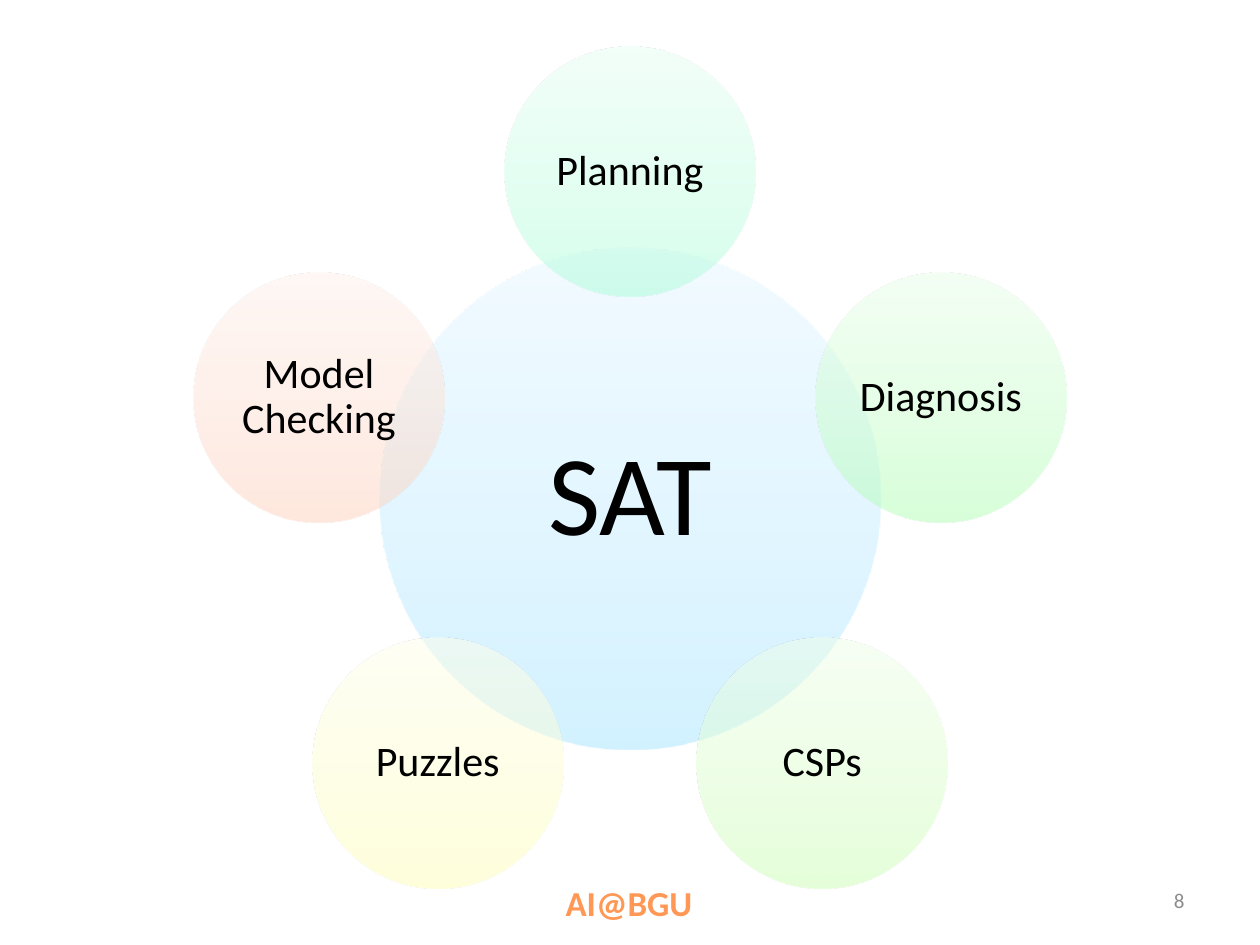
from dataclasses import dataclass
from math import cos, radians, sin

from lxml.etree import SubElement
from pptx import Presentation
from pptx.dml.color import RGBColor
from pptx.enum.shapes import MSO_SHAPE
from pptx.enum.text import MSO_ANCHOR, PP_ALIGN
from pptx.oxml.ns import qn
from pptx.util import Inches, Pt


@dataclass(frozen=True)
class Theme:
    """Colours, type sizes and font of the slide."""
    font: str = "Calibri"
    ink: str = "000000"
    accent: str = "FF9856"
    muted: str = "8C8C8C"
    hub_size: int = 65
    node_size: int = 24
    footer_size: int = 20
    number_size: int = 12
    stops: tuple = (0, 35, 100)
    opacity: int = 50


THEME = Theme()
HUB = ("SAT", ("A7E6FF", "C1EDFF", "E7F8FF"))
NODES = (
    ("Planning", ("ACFFD9", "C4FFE4", "E8FFF4")),
    ("Diagnosis", ("B0FFB4", "C7FFCA", "EAFFEB")),
    ("CSPs", ("CCFFB4", "DAFFCA", "F1FFEB")),
    ("Puzzles", ("FFFFB9", "FFFFCD", "FFFFEC")),
    ("Model Checking", ("FFD2BD", "FFDED0", "FFF2ED")),
)


def write(sp, text, size, color, align, bold=False):
    """Set one styled paragraph in a shape and return the paragraph."""
    tf = sp.text_frame
    tf.word_wrap = True
    p = tf.paragraphs[0]
    p.text = text
    p.alignment = align
    p.font.name = THEME.font
    p.font.size = Pt(size)
    p.font.bold = bold
    p.font.color.rgb = RGBColor.from_string(color)
    return p


def fill_gradient(sp, colors):
    """Fill a shape with a translucent gradient rising from its base."""
    sp.fill.gradient()
    sp.fill.gradient_angle = 90
    stops = next(sp._element.spPr.iter(qn("a:gsLst")))
    for stop in list(stops):
        stops.remove(stop)
    for pos, color in zip(THEME.stops, colors):
        stop = SubElement(stops, qn("a:gs"), pos=str(pos * 1000))
        rgb = SubElement(stop, qn("a:srgbClr"), val=color)
        SubElement(rgb, qn("a:alpha"), val=str(THEME.opacity * 1000))


def add_circle(slide, cx, cy, diameter, label, colors, size, inset):
    """Draw a labelled circle around a centre point."""
    sp = slide.shapes.add_shape(
        MSO_SHAPE.OVAL, int(cx - diameter / 2), int(cy - diameter / 2),
        int(diameter), int(diameter))
    sp.shadow.inherit = False
    sp.line.fill.background()
    fill_gradient(sp, colors)
    tf = sp.text_frame
    tf.vertical_anchor = MSO_ANCHOR.MIDDLE
    tf.margin_left = tf.margin_right = tf.margin_top = tf.margin_bottom = Inches(inset)
    write(sp, label, size, THEME.ink, PP_ALIGN.CENTER).line_spacing = 0.9


def add_radial(slide, left, top, width, height):
    """Place the hub and its ring of nodes in a box."""
    step = 360 / len(NODES)
    node = width * 0.2875
    orbit = width * 0.375
    cx, cy = left + width / 2, top + node / 2 + orbit
    add_circle(slide, cx, cy, node * 2, *HUB, THEME.hub_size, 0.09)
    for i, (label, colors) in enumerate(NODES):
        angle = radians(i * step)
        add_circle(slide, cx + orbit * sin(angle), cy - orbit * cos(angle),
                   node, label, colors, THEME.node_size, 0.03)


def add_footer(slide, left, top, width, height):
    """Place the course name and slide number in a strip."""
    name = slide.shapes.add_textbox(
        int(left + width * 0.439), top, int(width * 0.317), height)
    write(name, "AI@BGU", THEME.footer_size, THEME.accent, PP_ALIGN.LEFT, True)
    number = slide.shapes.add_textbox(
        int(left + width * 0.717), top, int(width * 0.233), height)
    number.text_frame.vertical_anchor = MSO_ANCHOR.MIDDLE
    write(number, "8", THEME.number_size, THEME.muted, PP_ALIGN.RIGHT)


def main():
    """Build and save the slide."""
    prs = Presentation()
    prs.slide_width, prs.slide_height = Inches(10), Inches(7.5)
    w, h = prs.slide_width, prs.slide_height
    slide = prs.slides.add_slide(prs.slide_layouts[6])
    add_footer(slide, 0, int(h * 0.926), w, int(h * 0.053))
    add_radial(slide, w * 0.154, h * 0.049, w * 0.692, h * 0.89)
    prs.save("out.pptx")


if __name__ == "__main__":
    main()
